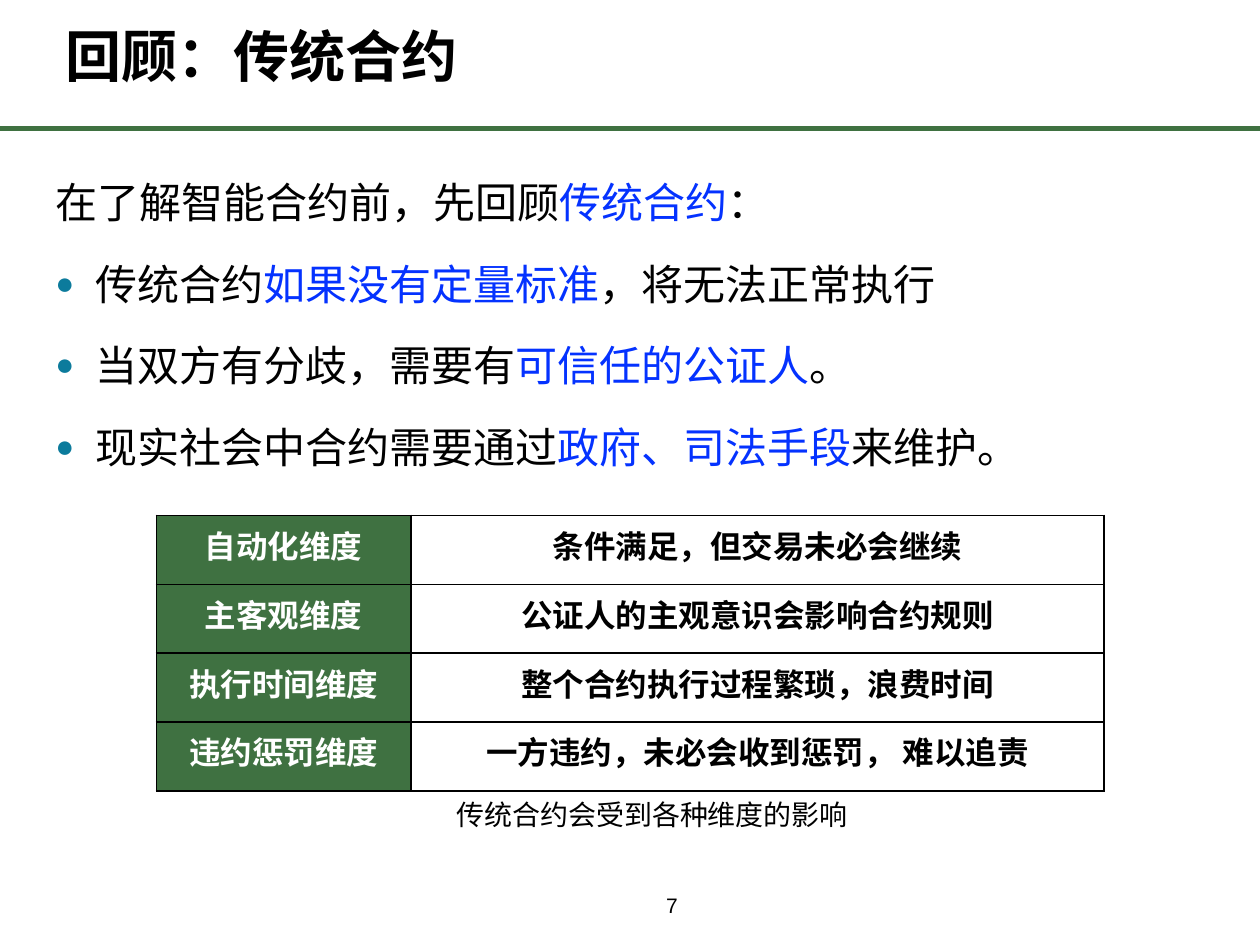
from dataclasses import dataclass

from lxml import etree
from pptx import Presentation
from pptx.dml.color import RGBColor
from pptx.enum.shapes import MSO_CONNECTOR
from pptx.enum.text import MSO_ANCHOR, PP_ALIGN
from pptx.oxml.ns import qn
from pptx.util import Pt

STRAIGHT = MSO_CONNECTOR.STRAIGHT
TOP, BOTTOM = MSO_ANCHOR.TOP, MSO_ANCHOR.BOTTOM
LEFT, CENTER = PP_ALIGN.LEFT, PP_ALIGN.CENTER


@dataclass(frozen=True)
class Theme:
    black: str = "000000"
    white: str = "FFFFFF"
    green: str = "3F7141"
    blue: str = "0432FF"
    teal: str = "0C7B9C"
    heading_font: str = "Cabin"
    body_font: str = "Arial"
    title_size: float = 32
    body_size: float = 24
    table_size: float = 18
    caption_size: float = 16
    number_size: float = 12


THEME = Theme()

STATEMENTS = [
    ("在了解智能合约前，先回顾", "传统合约", "："),
    ("传统合约", "如果没有定量标准", "，将无法正常执行"),
    ("当双方有分歧，需要有", "可信任的公证人", "。"),
    ("现实社会中合约需要通过", "政府、司法手段", "来维护。"),
]
DIMENSIONS = [
    ("自动化维度", "条件满足，但交易未必会继续"),
    ("主客观维度", "公证人的主观意识会影响合约规则"),
    ("执行时间维度", "整个合约执行过程繁琐，浪费时间"),
    ("违约惩罚维度", "一方违约，未必会收到惩罚， 难以追责"),
]


def add_text(paragraph, text, *, size, color=THEME.black, font=THEME.body_font,
             bold=False, align=LEFT):
    paragraph.alignment = align
    run = paragraph.add_run()
    run.text = text
    run.font.name = font
    run.font.size = Pt(size)
    run.font.bold = bold
    run.font.color.rgb = RGBColor.from_string(color)


def add_box(slide, left, top, width, height, anchor=TOP, wrap=True):
    shape = slide.shapes.add_textbox(Pt(left), Pt(top), Pt(width), Pt(height))
    frame = shape.text_frame
    frame.word_wrap = wrap
    frame.vertical_anchor = anchor
    return frame


def add_bullet(paragraph, indent):
    properties = paragraph._p.get_or_add_pPr()
    properties.set("marL", str(Pt(indent)))
    properties.set("indent", str(-Pt(indent)))
    color = etree.SubElement(properties, qn("a:buClr"))
    etree.SubElement(color, qn("a:srgbClr"), val=THEME.teal)
    etree.SubElement(properties, qn("a:buSzPct"), val="75000")
    etree.SubElement(properties, qn("a:buFont"), typeface=THEME.body_font)
    etree.SubElement(properties, qn("a:buChar"), char="●")


def add_rule(slide, top, width):
    connector = slide.shapes.add_connector(STRAIGHT, 0, Pt(top), Pt(width), Pt(top))
    connector.line.width = Pt(3)
    connector.line.color.rgb = RGBColor.from_string(THEME.green)
    etree.SubElement(connector._element.spPr, qn("a:effectLst"))


def add_statements(slide):
    frame = add_box(slide, 24.5, 85.7, 648.7, 270)
    for index, (before, highlight, after) in enumerate(STATEMENTS):
        paragraph = frame.add_paragraph() if index else frame.paragraphs[0]
        if index:
            add_bullet(paragraph, 23)
            paragraph.space_before = Pt(2.4)
        paragraph.line_spacing = 1.4
        paragraph.space_after = Pt(4)
        add_text(paragraph, before, size=THEME.body_size)
        add_text(paragraph, highlight, size=THEME.body_size, color=THEME.blue)
        add_text(paragraph, after, size=THEME.body_size)


def add_borders(cell):
    properties = cell._tc.get_or_add_tcPr()
    for side in ("L", "R", "T", "B"):
        line = etree.SubElement(properties, qn(f"a:ln{side}"), w=str(Pt(1)))
        fill = etree.SubElement(line, qn("a:solidFill"))
        etree.SubElement(fill, qn("a:srgbClr"), val=THEME.black)


def format_cell(cell, text, is_label):
    add_borders(cell)
    if is_label:
        cell.fill.solid()
        cell.fill.fore_color.rgb = RGBColor.from_string(THEME.green)
    else:
        cell.fill.background()
    add_text(cell.text_frame.paragraphs[0], text, size=THEME.table_size,
             color=THEME.white if is_label else THEME.black,
             bold=True, align=CENTER)


def add_dimension_table(slide):
    widths = (145.5, 396)
    row_height = 39.4
    table = slide.shapes.add_table(
        len(DIMENSIONS), len(widths), Pt(89.3), Pt(294.5),
        Pt(sum(widths)), Pt(row_height * len(DIMENSIONS))).table
    for column, width in zip(table.columns, widths):
        column.width = Pt(width)
    for row_index, texts in enumerate(DIMENSIONS):
        table.rows[row_index].height = Pt(row_height)
        for column_index, text in enumerate(texts):
            format_cell(table.cell(row_index, column_index), text, column_index == 0)


def main():
    presentation = Presentation()
    presentation.slide_width = Pt(720)
    presentation.slide_height = Pt(540)
    slide = presentation.slides.add_slide(presentation.slide_layouts[6])

    add_rule(slide, 73.3, 720)
    title = add_box(slide, 30.2, 12.2, 652.3, 41.8, anchor=BOTTOM).paragraphs[0]
    title.line_spacing = Pt(36)
    add_text(title, "回顾：传统合约", size=THEME.title_size,
             font=THEME.heading_font, bold=True)
    add_statements(slide)
    add_dimension_table(slide)
    caption = add_box(slide, 254, 452.2, 240.5, 26.6, wrap=False).paragraphs[0]
    add_text(caption, "传统合约会受到各种维度的影响", size=THEME.caption_size)
    number_frame = add_box(slide, 364, 504, 40, 20.2, anchor=BOTTOM)
    number_frame.margin_top = number_frame.margin_bottom = 0
    number = number_frame.paragraphs[0]
    number.line_spacing = Pt(20)
    add_text(number, "7", size=THEME.number_size, align=CENTER)

    presentation.save("out.pptx")


if __name__ == "__main__":
    main()
